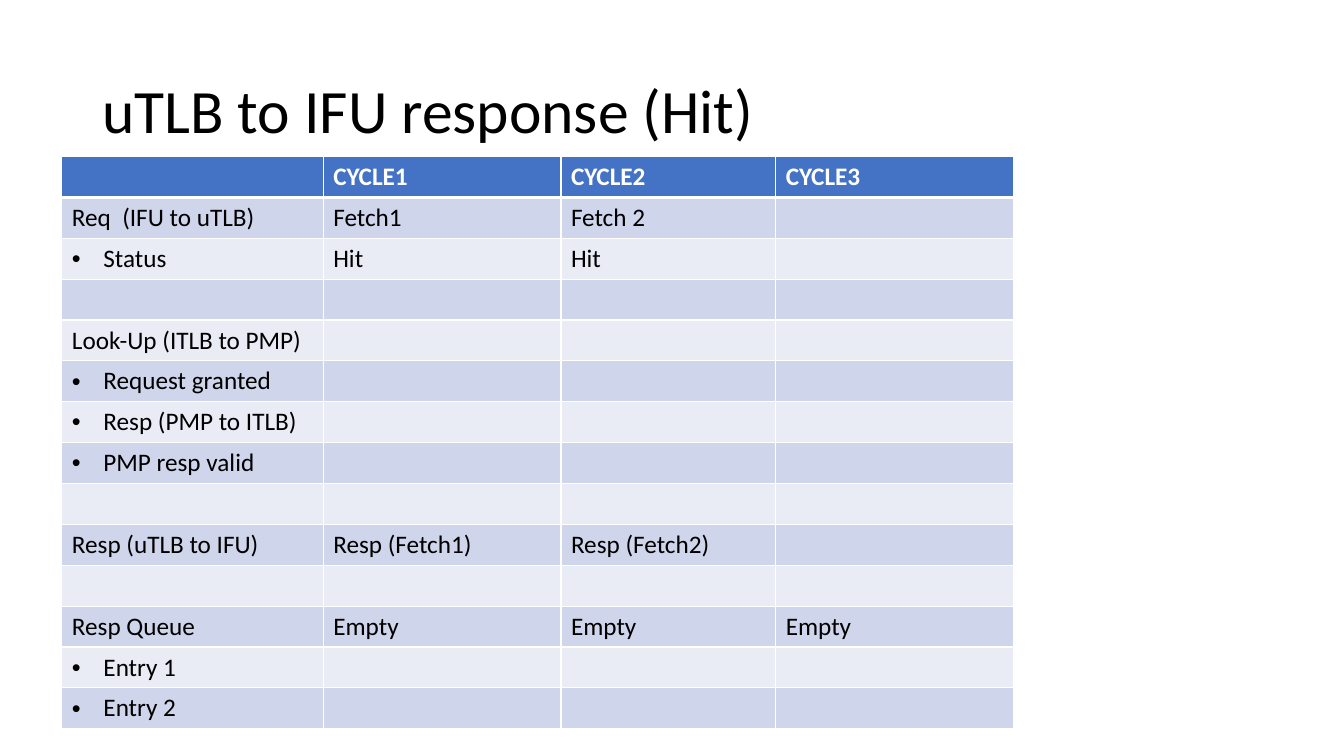
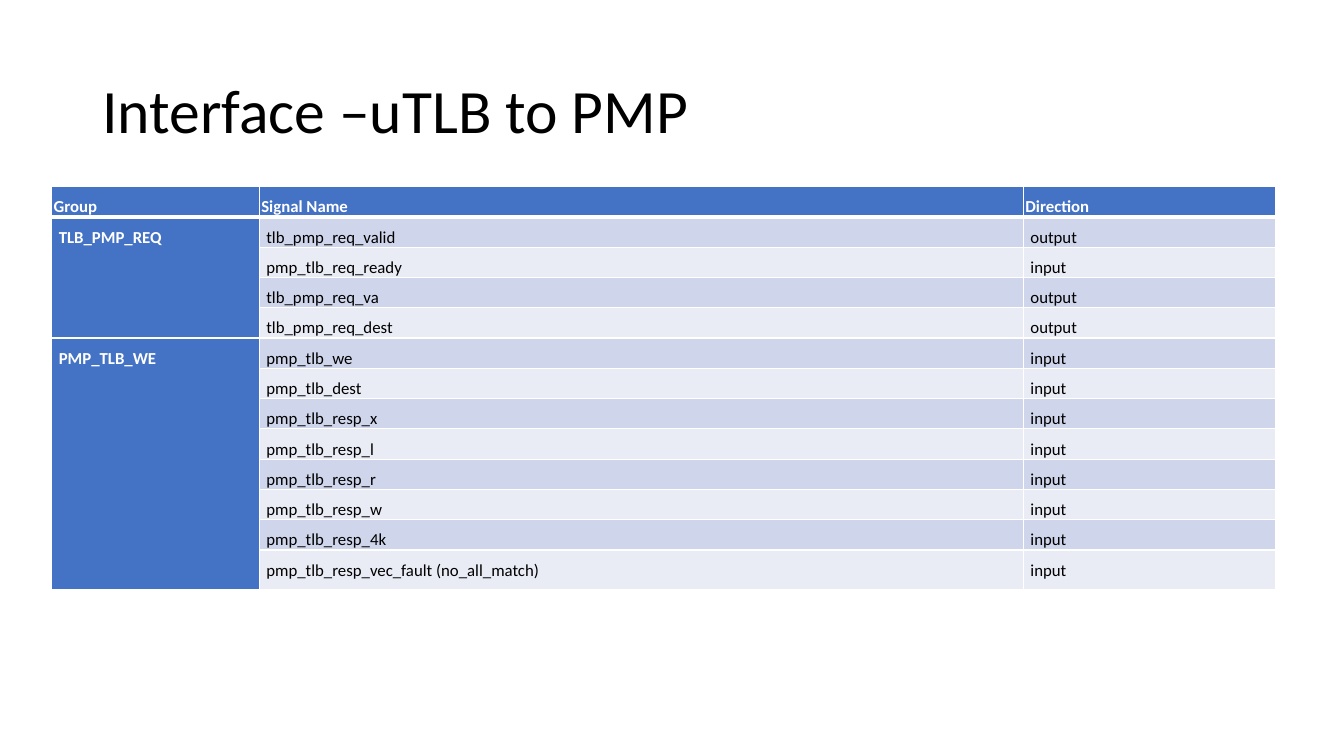
from lxml import etree
from pptx import Presentation
from pptx.dml.color import RGBColor
from pptx.enum import text
from pptx.oxml import ns
from pptx.util import Pt

COLORS = {
    "ink": "000000",
    "white": "FFFFFF",
    "header": "4472C4",
    "odd": "CFD5EA",
    "even": "E9EBF5",
}
FONT = "Calibri"
BULLET = "• "
BULLET_INDENT = Pt(22.5)

CYCLE_ROWS = [
    ["", "CYCLE1", "CYCLE2", "CYCLE3"],
    ["Req  (IFU to uTLB)", "Fetch1", "Fetch 2"],
    ["• Status", "Hit", "Hit"],
    [],
    ["Look-Up (ITLB to PMP)"],
    ["• Request granted"],
    ["• Resp (PMP to ITLB)"],
    ["• PMP resp valid"],
    [],
    ["Resp (uTLB to IFU)", "Resp (Fetch1)", "Resp (Fetch2)"],
    [],
    ["Resp Queue", "Empty", "Empty", "Empty"],
    ["• Entry 1"],
    ["• Entry 2"],
]

SIGNAL_HEADER = ["Group", "Signal Name", "Direction"]
SIGNAL_GROUPS = {
    "TLB_PMP_REQ": [
        ("tlb_pmp_req_valid", "output"),
        ("pmp_tlb_req_ready", "input"),
        ("tlb_pmp_req_va", "output"),
        ("tlb_pmp_req_dest", "output"),
    ],
    "PMP_TLB_WE": [
        ("pmp_tlb_we", "input"),
        ("pmp_tlb_dest", "input"),
        ("pmp_tlb_resp_x", "input"),
        ("pmp_tlb_resp_l", "input"),
        ("pmp_tlb_resp_r", "input"),
        ("pmp_tlb_resp_w", "input"),
        ("pmp_tlb_resp_4k", "input"),
        ("pmp_tlb_resp_vec_fault (no_all_match)", "input"),
    ],
}


def write(para, content, size=18, color="ink", bold=False, spacing=None):
    """Fill a paragraph with one formatted span; a leading bullet makes a list item."""
    if content.startswith(BULLET):
        content = content.removeprefix(BULLET)
        props = para._p.get_or_add_pPr()
        props.set("marL", str(BULLET_INDENT))
        props.set("indent", str(-BULLET_INDENT))
        etree.SubElement(props, ns.qn("a:buFont")).set("typeface", "Arial")
        etree.SubElement(props, ns.qn("a:buChar")).set("char", BULLET.strip())
    if spacing:
        para.line_spacing = spacing
    span = para.add_run()
    span.text = content
    span.font.name = FONT
    span.font.size = Pt(size)
    span.font.bold = bold
    span.font.color.rgb = RGBColor.from_string(COLORS[color])


def set_borders(cell, top=1, bottom=1):
    props = cell._tc.get_or_add_tcPr()
    for side, width in (("L", 1), ("R", 1), ("T", top), ("B", bottom)):
        line = etree.SubElement(props, ns.qn(f"a:ln{side}"), w=str(Pt(width)))
        fill = etree.SubElement(line, ns.qn("a:solidFill"))
        etree.SubElement(fill, ns.qn("a:srgbClr"), val=COLORS["white"])


class Deck:
    def __init__(self):
        self.deck = Presentation()
        self.deck.slide_width, self.deck.slide_height = Pt(960), Pt(540)
        self.page = None

    def add_page(self, title):
        self.page = self.deck.slides.add_slide(self.deck.slide_layouts[6])
        box = self.page.shapes.add_textbox(Pt(66), Pt(28.75), Pt(828), Pt(104.4))
        frame = box.text_frame
        frame.word_wrap = True
        frame.vertical_anchor = text.MSO_ANCHOR.MIDDLE
        write(frame.paragraphs[0], title, size=44, spacing=0.9)

    def add_table(self, rows, left, top, widths, heights, group_column=False,
                  header_inset=None, body_inset=None, **style):
        """Add a banded table; insets are (side, top and bottom) margins."""
        frame = self.page.shapes.add_table(
            len(rows), len(widths), Pt(left), Pt(top), Pt(sum(widths)), Pt(sum(heights)))
        table = frame.table
        table.first_row = table.horz_banding = False
        for column, width in zip(table.columns, widths):
            column.width = Pt(width)
        for r, (row, height) in enumerate(zip(rows, heights)):
            table.rows[r].height = Pt(height)
            band = "odd" if r % 2 else "even"
            for c in range(len(widths)):
                cell = table.cell(r, c)
                strong = r == 0 or (group_column and c == 0)
                set_borders(cell, top=3 if r == 1 else 1, bottom=3 if r == 0 else 1)
                cell.fill.solid()
                cell.fill.fore_color.rgb = RGBColor.from_string(
                    COLORS["header" if strong else band])
                inset = body_inset if r else header_inset
                if inset:
                    cell.margin_left = cell.margin_right = Pt(inset[0])
                    cell.margin_top = cell.margin_bottom = Pt(inset[1])
                if c < len(row) and row[c]:
                    write(cell.text_frame.paragraphs[0], row[c], bold=strong,
                          color="white" if strong else "ink", **style)
        return table


def build_hit_page(deck):
    deck.add_page("uTLB to IFU response (Hit)")
    deck.add_table(CYCLE_ROWS, 44.2, 111.8, [186.7, 169.8, 153.4, 169.8],
                   [29.2] * len(CYCLE_ROWS))


def build_interface_page(deck):
    deck.add_page("Interface –uTLB to PMP")
    rows = [SIGNAL_HEADER]
    for group, signals in SIGNAL_GROUPS.items():
        for i, signal in enumerate(signals):
            rows.append(["" if i else group, *signal])
    table = deck.add_table(
        rows, 37, 133.3, [148.3, 545.8, 180], [20.2] * (len(rows) - 1) + [28],
        group_column=True, header_inset=(1.4, 0), body_inset=(5, 0), size=12, spacing=1.5)
    first = 1
    for signals in SIGNAL_GROUPS.values():
        last = first + len(signals) - 1
        table.cell(first, 0).merge(table.cell(last, 0))
        first = last + 1


def main():
    deck = Deck()
    build_hit_page(deck)
    build_interface_page(deck)
    deck.deck.save("out.pptx")


if __name__ == "__main__":
    main()
